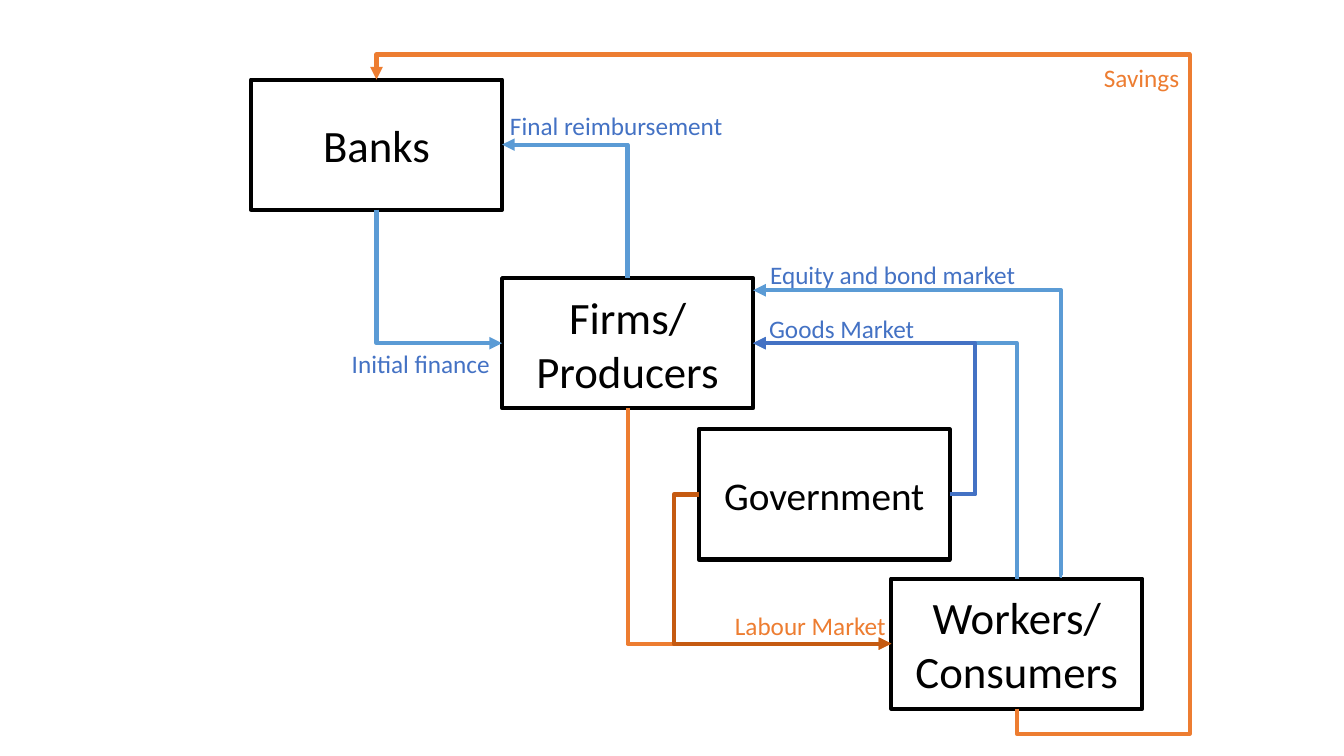
from lxml.etree import SubElement
from pptx import Presentation
from pptx.dml.color import RGBColor as RGB
from pptx.enum.shapes import MSO_CONNECTOR as CONN, MSO_SHAPE as SHAPE
from pptx.enum.text import MSO_ANCHOR as ANCHOR, MSO_AUTO_SIZE as AUTO, PP_ALIGN as ALIGN
from pptx.oxml.ns import qn
from pptx.util import Inches, Pt

COLOURS = {"black": "000000", "sky": "5B9BD5", "blue": "4472C4",
           "orange": "ED7D31", "rust": "C55A11"}
TOP, LEFT, BOTTOM, RIGHT = range(4)


class Diagram:
    font = "Calibri"
    line_width = Pt(3)
    box_size = Inches(2.49), Inches(1.29)

    def __init__(self, slide):
        self.shapes = slide.shapes

    def colour(self, name):
        return RGB.from_string(COLOURS[name])

    def run(self, p, text, size, colour):
        r = p.add_run()
        r.text = text
        r.font.name, r.font.size = self.font, Pt(size)
        r.font.color.rgb = self.colour(colour)

    def outline(self, s, colour):
        s.line.color.rgb = self.colour(colour)
        s.line.width = self.line_width

    def box(self, x, y, lines, size=32):
        s = self.shapes.add_shape(SHAPE.RECTANGLE, Inches(x), Inches(y), *self.box_size)
        s.shadow.inherit = False
        s.fill.background()
        self.outline(s, "black")
        tf = s.text_frame
        tf.word_wrap = True
        tf.vertical_anchor = ANCHOR.MIDDLE
        for i, text in enumerate(lines):
            p = tf.add_paragraph() if i else tf.paragraphs[0]
            p.alignment = ALIGN.CENTER
            self.run(p, text, size, "black")
        return s

    def label(self, x, y, width, text, colour):
        s = self.shapes.add_textbox(Inches(x), Inches(y), Inches(width), Inches(0.4))
        tf = s.text_frame
        tf.word_wrap = False
        tf.auto_size = AUTO.SHAPE_TO_FIT_TEXT
        self.run(tf.paragraphs[0], text, 18, colour)

    def elbow(self, colour, bends, adjust=(), points=(0, 0, 0, 0)):
        """Bent arrow; adjust holds the bend positions as shares of its box."""
        s = self.shapes.add_connector(CONN.ELBOW, *map(Inches, points))
        self.outline(s, colour)
        pr = s._element.spPr
        SubElement(pr.find(qn("a:ln")), qn("a:tailEnd"), type="triangle")
        SubElement(pr, qn("a:effectLst"))
        geom = pr.find(qn("a:prstGeom"))
        geom.set("prst", f"bentConnector{bends}")
        guides = geom.find(qn("a:avLst"))
        if guides is None:
            guides = SubElement(geom, qn("a:avLst"))
        for i, share in enumerate(adjust, 1):
            SubElement(guides, qn("a:gd"), name=f"adj{i}",
                       fmla=f"val {round(share * 100000)}")
        return s

    def flow(self, start, start_side, end, end_side, colour, bends, adjust=()):
        """Elbow joined to the sides of two boxes."""
        s = self.elbow(colour, bends, adjust)
        s.begin_connect(start, start_side)
        s.end_connect(end, end_side)
        if start_side in (TOP, BOTTOM):
            self.turn(s)

    def turn(self, s):
        """Rotate a quarter turn in place, so that the first leg is vertical."""
        dx, dy = s.end_x - s.begin_x, s.end_y - s.begin_y
        mid_x, mid_y = (s.begin_x + s.end_x) // 2, (s.begin_y + s.end_y) // 2
        s.width, s.height = abs(dy), abs(dx)
        s.left, s.top = mid_x - s.width // 2, mid_y - s.height // 2
        xfrm = s._element.spPr.find(qn("a:xfrm"))
        xfrm.set("rot", str(90 * 60000))
        xfrm.set("flipH", str(int(dy < 0)))
        xfrm.set("flipV", str(int(dx > 0)))


def main():
    prs = Presentation()
    prs.slide_width, prs.slide_height = Inches(13.33), Inches(7.5)
    d = Diagram(prs.slides.add_slide(prs.slide_layouts[6]))

    banks = d.box(2.49, 0.79, ["Banks"])
    firms = d.box(4.98, 2.76, ["Firms/", "Producers"])
    workers = d.box(8.84, 5.74, ["Workers/", "Consumers"])
    government = d.box(6.93, 4.26, ["Government"], size=28)

    for flow in [
        (banks, BOTTOM, firms, LEFT, "sky", 2),
        (firms, BOTTOM, workers, LEFT, "orange", 2),
        (workers, TOP, firms, RIGHT, "sky", 2),
        (firms, TOP, banks, RIGHT, "sky", 2),
        (workers, BOTTOM, banks, TOP, "orange", 5, (-0.04, -0.27, 1.04)),
        (government, RIGHT, firms, RIGHT, "blue", 3, (-0.13,)),
        (government, LEFT, workers, LEFT, "rust", 3, (-0.13,)),
    ]:
        d.flow(*flow)
    d.elbow("sky", 3, (0.002,), points=(10.53, 5.71, 7.47, 2.88))

    for label in [
        (7.19, 6.01, 1.71, "Labour Market", "orange"),
        (7.53, 3.06, 1.66, "Goods Market", "blue"),
        (4.96, 1.05, 2.33, "Final reimbursement", "blue"),
        (3.39, 3.41, 1.59, "Initial finance", "blue"),
        (10.85, 0.57, 0.96, "Savings", "orange"),
        (7.54, 2.52, 2.66, "Equity and bond market", "blue"),
    ]:
        d.label(*label)

    prs.save("out.pptx")


if __name__ == "__main__":
    main()
